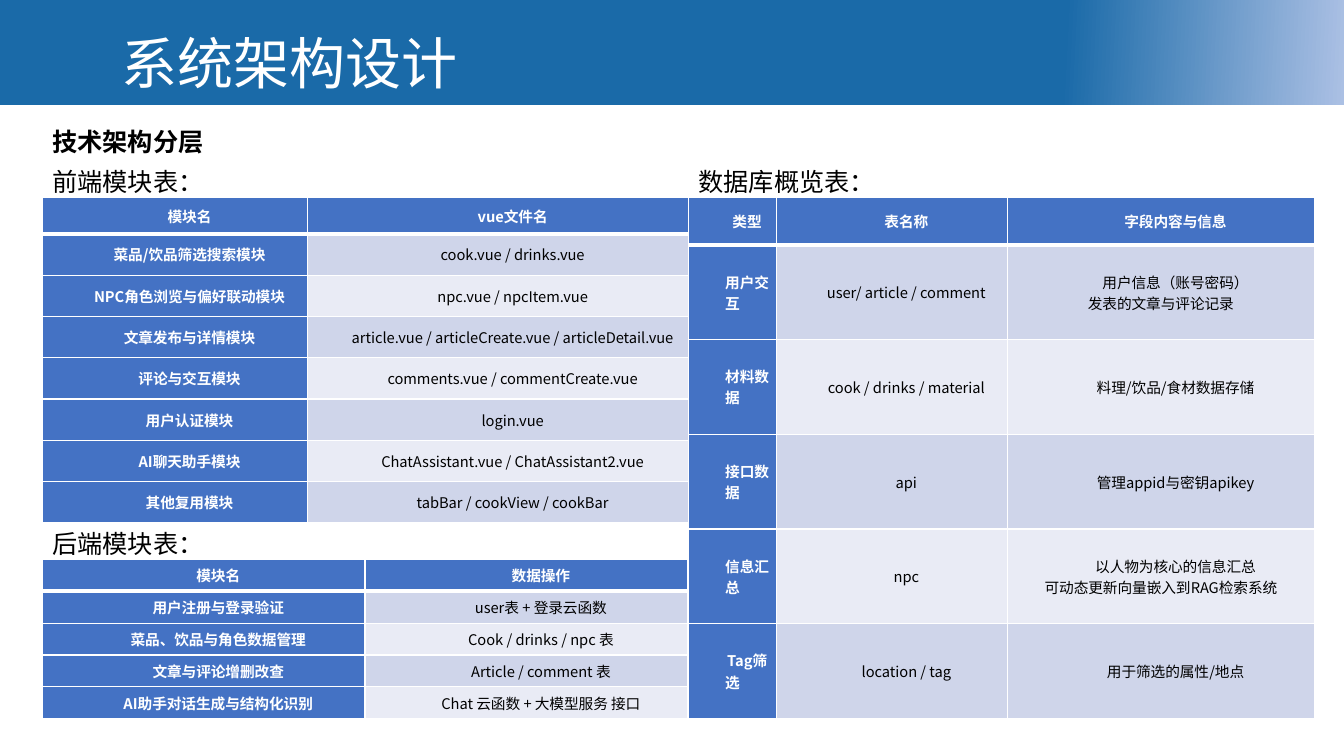
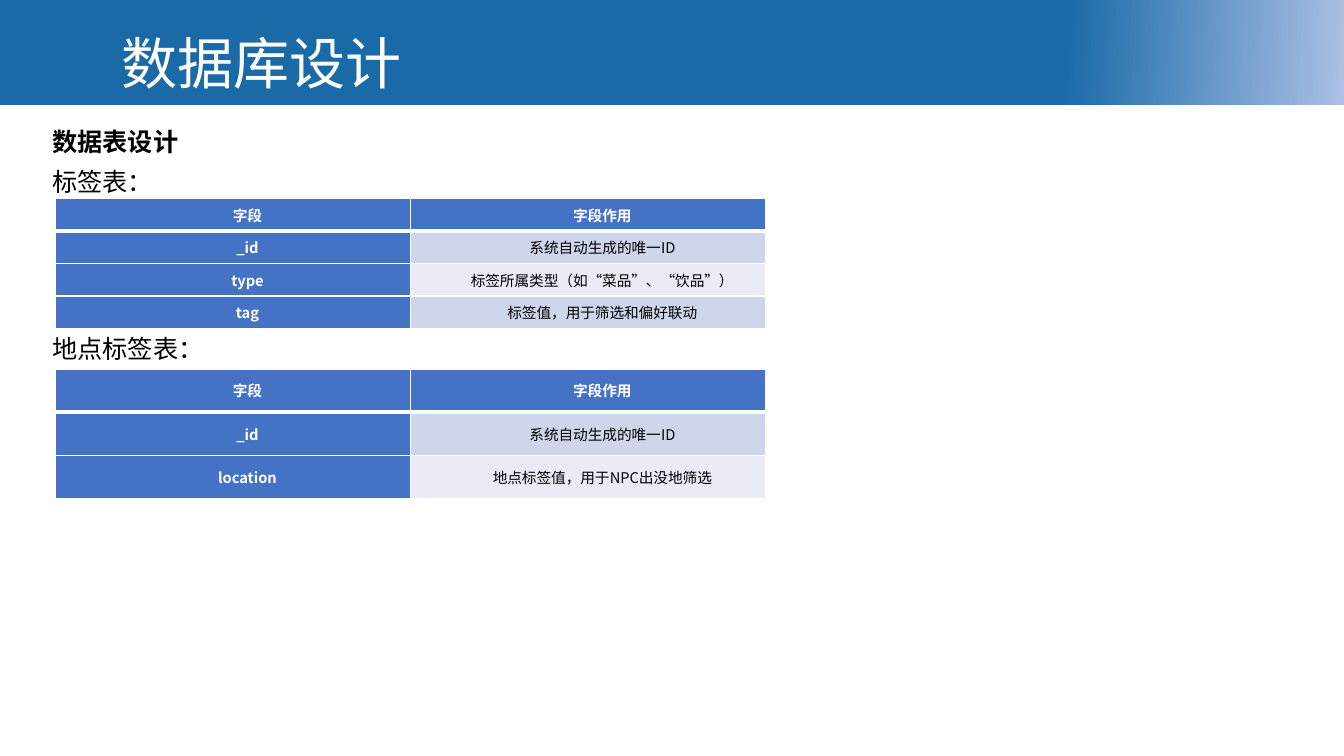
from copy import deepcopy
from dataclasses import dataclass

from lxml import etree
from pptx import Presentation
from pptx.dml.color import RGBColor
from pptx.enum.shapes import MSO_SHAPE
from pptx.enum.text import MSO_ANCHOR, PP_ALIGN
from pptx.oxml.ns import qn
from pptx.util import Inches, Pt

RECTANGLE = MSO_SHAPE.RECTANGLE
CENTER = PP_ALIGN.CENTER
MIDDLE = MSO_ANCHOR.MIDDLE


@dataclass(frozen=True)
class Theme:
    font: str = "Noto Sans CJK SC"
    white: str = "FFFFFF"
    black: str = "000000"
    band: str = "1A6AA8"
    band_end: str = "ABC0E4"
    header: str = "4472C4"
    stripes: tuple = ("CFD5EA", "E9EBF5")
    title_size: float = 40
    heading_size: float = 18
    cell_size: float = 10.5
    grid_line: float = 1
    header_line: float = 3


THEME = Theme()
SLIDE_WIDTH, SLIDE_HEIGHT = 13.33, 7.5
LEFT = 0.42
HEADING_TOP, CAPTION_TOP = 1.2, 1.6
TEXT_HEIGHT = 0.4

# Table content, header row first
FRONTEND = [
    ("模块名", "vue文件名"),
    ("菜品/饮品筛选搜索模块", "cook.vue / drinks.vue"),
    ("NPC角色浏览与偏好联动模块", "npc.vue / npcItem.vue"),
    ("文章发布与详情模块", "article.vue / articleCreate.vue / articleDetail.vue"),
    ("评论与交互模块", "comments.vue / commentCreate.vue"),
    ("用户认证模块", "login.vue"),
    ("AI聊天助手模块", "ChatAssistant.vue / ChatAssistant2.vue"),
    ("其他复用模块", "tabBar / cookView / cookBar"),
]
BACKEND = [
    ("模块名", "数据操作"),
    ("用户注册与登录验证", "user表 + 登录云函数"),
    ("菜品、饮品与角色数据管理", "Cook / drinks / npc 表"),
    ("文章与评论增删改查", "Article / comment 表"),
    ("AI助手对话生成与结构化识别", "Chat 云函数 + 大模型服务 接口"),
]
DATABASE = [
    ("类型", "表名称", "字段内容与信息"),
    ("用户交互", "user/ article / comment", "用户信息（账号密码）\n发表的文章与评论记录"),
    ("材料数据", "cook / drinks / material", "料理/饮品/食材数据存储"),
    ("接口数据", "api", "管理appid与密钥apikey"),
    ("信息汇总", "npc", "以人物为核心的信息汇总\n可动态更新向量嵌入到RAG检索系统"),
    ("Tag筛选", "location / tag", "用于筛选的属性/地点"),
]
FIELD_HEADER = ("字段", "字段作用")
ID_FIELD = ("_id", "系统自动生成的唯一ID")
TAGS = [
    FIELD_HEADER,
    ID_FIELD,
    ("type", "标签所属类型（如“菜品”、“饮品”）"),
    ("tag", "标签值，用于筛选和偏好联动"),
]
LOCATIONS = [FIELD_HEADER, ID_FIELD, ("location", "地点标签值，用于NPC出没地筛选")]


def rgb(value):
    return RGBColor.from_string(value)


def write_text(frame, text, *, size, color=THEME.black, bold=False, align=None,
               indent=0, space_after=None, line_spacing=None):
    """Fill a text frame with one formatted paragraph."""
    paragraph = frame.paragraphs[0]
    paragraph.text = text
    paragraph.alignment = align
    if indent:
        properties = paragraph._p.get_or_add_pPr()
        properties.set("marL", "0")
        properties.set("indent", str(Inches(indent)))
    if space_after is not None:
        paragraph.space_after = Pt(space_after)
    if line_spacing is not None:
        paragraph.line_spacing = Pt(line_spacing)
    for run in paragraph.runs:
        run.font.size = Pt(size)
        run.font.bold = bold
        run.font.color.rgb = rgb(color)
        run.font.name = THEME.font
        # Chinese characters take their font from a:ea
        etree.SubElement(run.font._element, qn("a:ea"), typeface=THEME.font)
    for line_break in paragraph._p.findall(qn("a:br")):
        line_break.insert(0, deepcopy(paragraph.runs[0].font._element))


def add_text(slide, text, left, top, width, height=TEXT_HEIGHT, *, margins=True,
             wrap=True, **style):
    frame = slide.shapes.add_textbox(
        Inches(left), Inches(top), Inches(width), Inches(height)).text_frame
    frame.word_wrap = wrap
    if not margins:
        frame.margin_left = frame.margin_right = 0
        frame.margin_top = frame.margin_bottom = 0
    write_text(frame, text, **style)


def add_caption(slide, text, left, top, width=5.25):
    add_text(slide, text, left, top, width, size=THEME.heading_size)


def set_borders(cell, **widths):
    """Draw white cell borders; call before the fill is set."""
    properties = cell._tc.get_or_add_tcPr()
    for side in ("L", "R", "T", "B"):
        width = widths.get(side, THEME.grid_line)
        line = etree.SubElement(properties, qn(f"a:ln{side}"), w=str(Pt(width)))
        fill = etree.SubElement(line, qn("a:solidFill"))
        etree.SubElement(fill, qn("a:srgbClr"), val=THEME.white)


def style_cell(cell, text, row, column):
    emphasized = row == 0 or column == 0
    borders = {0: {"B": THEME.header_line}, 1: {"T": THEME.header_line}}
    set_borders(cell, **borders.get(row, {}))
    cell.fill.solid()
    cell.fill.fore_color.rgb = rgb(
        THEME.header if emphasized else THEME.stripes[(row - 1) % 2])
    cell.vertical_anchor = MIDDLE
    cell.margin_left = cell.margin_right = Inches(0.07)
    cell.margin_top = cell.margin_bottom = 0
    write_text(cell.text_frame, text, size=THEME.cell_size, bold=emphasized,
               color=THEME.white if emphasized else THEME.black,
               align=CENTER, indent=0.29, space_after=4)


def add_data_table(slide, rows, left, top, height, columns, header_height=None):
    """Add a table whose body rows share the height below the header."""
    if header_height is None:
        header_height = height / len(rows)
    body_height = (height - header_height) / (len(rows) - 1)
    table = slide.shapes.add_table(
        len(rows), len(columns), Inches(left), Inches(top),
        Inches(sum(columns)), Inches(height)).table
    table.first_col = True
    for column, width in enumerate(columns):
        table.columns[column].width = Inches(width)
    for row, texts in enumerate(rows):
        table.rows[row].height = Inches(body_height if row else header_height)
        for column, text in enumerate(texts):
            style_cell(table.cell(row, column), text, row, column)


def add_band(slide):
    band = slide.shapes.add_shape(
        RECTANGLE, 0, 0, Inches(SLIDE_WIDTH), Inches(1.04))
    band.shadow.inherit = False
    band.line.fill.background()
    band.fill.gradient()
    band.fill.gradient_angle = 357
    stops = ((0.79, THEME.band), (1, THEME.band_end))
    for stop, (position, color) in zip(band.fill.gradient_stops, stops):
        stop.position = position
        stop.color.rgb = rgb(color)


def add_content_slide(prs, title, heading, heading_width):
    slide = prs.slides.add_slide(prs.slide_layouts[6])
    add_band(slide)
    add_text(slide, title, 1.21, 0.15, 4.81, 0.74, margins=False,
             size=THEME.title_size, color=THEME.white, line_spacing=57.6)
    add_text(slide, heading, LEFT, HEADING_TOP, heading_width, wrap=False,
             size=THEME.heading_size, bold=True)
    return slide


def build_architecture(prs):
    slide = add_content_slide(prs, "系统架构设计", "技术架构分层", 1.72)
    database_left, tables_top = 6.83, 1.96
    # Front end and back end on the left
    add_caption(slide, "前端模块表：", LEFT, CAPTION_TOP)
    add_data_table(slide, FRONTEND, LEFT, tables_top, 3.23, (2.63, 3.78), 0.36)
    add_caption(slide, "后端模块表：", LEFT, 5.19)
    add_data_table(slide, BACKEND, LEFT, 5.55, 1.58, (3.2, 3.2))
    # Database on the right
    add_caption(slide, "数据库概览表：", database_left, CAPTION_TOP)
    add_data_table(slide, DATABASE, database_left, tables_top, 5.17,
                   (0.87, 2.29, 3.05), 0.47)


def build_database(prs):
    slide = add_content_slide(prs, "数据库设计", "数据表设计", 1.46)
    table_left, table_height, columns = 0.55, 1.29, (3.52, 3.52)
    sections = (
        ("标签表：", CAPTION_TOP, TAGS, 1.97),
        ("地点标签表：", 3.26, LOCATIONS, 3.66),
    )
    for caption, caption_top, rows, table_top in sections:
        add_caption(slide, caption, LEFT, caption_top, sum(columns))
        add_data_table(slide, rows, table_left, table_top, table_height, columns)


def main():
    prs = Presentation()
    prs.slide_width = Inches(SLIDE_WIDTH)
    prs.slide_height = Inches(SLIDE_HEIGHT)
    build_architecture(prs)
    build_database(prs)
    prs.save("out.pptx")


if __name__ == "__main__":
    main()
